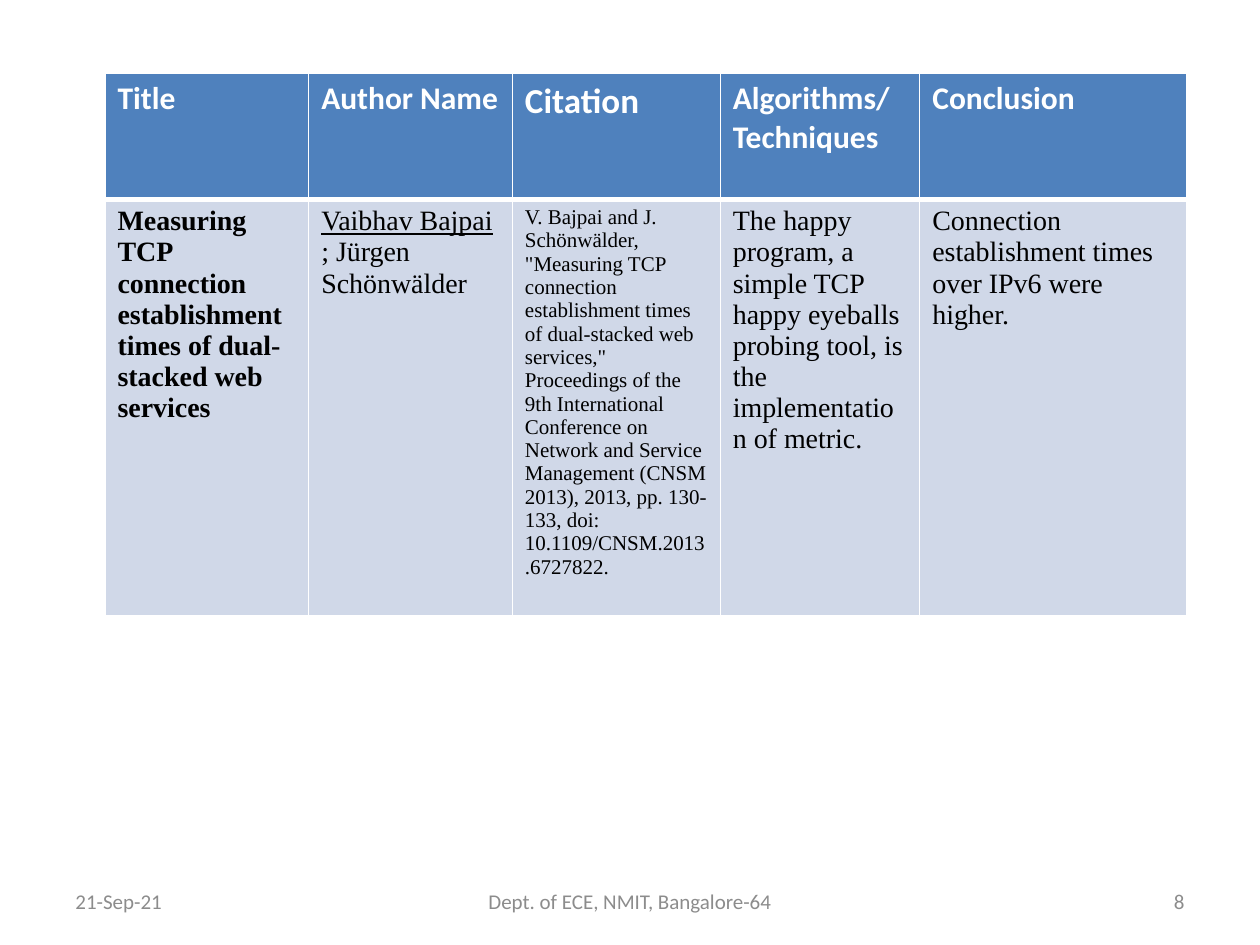
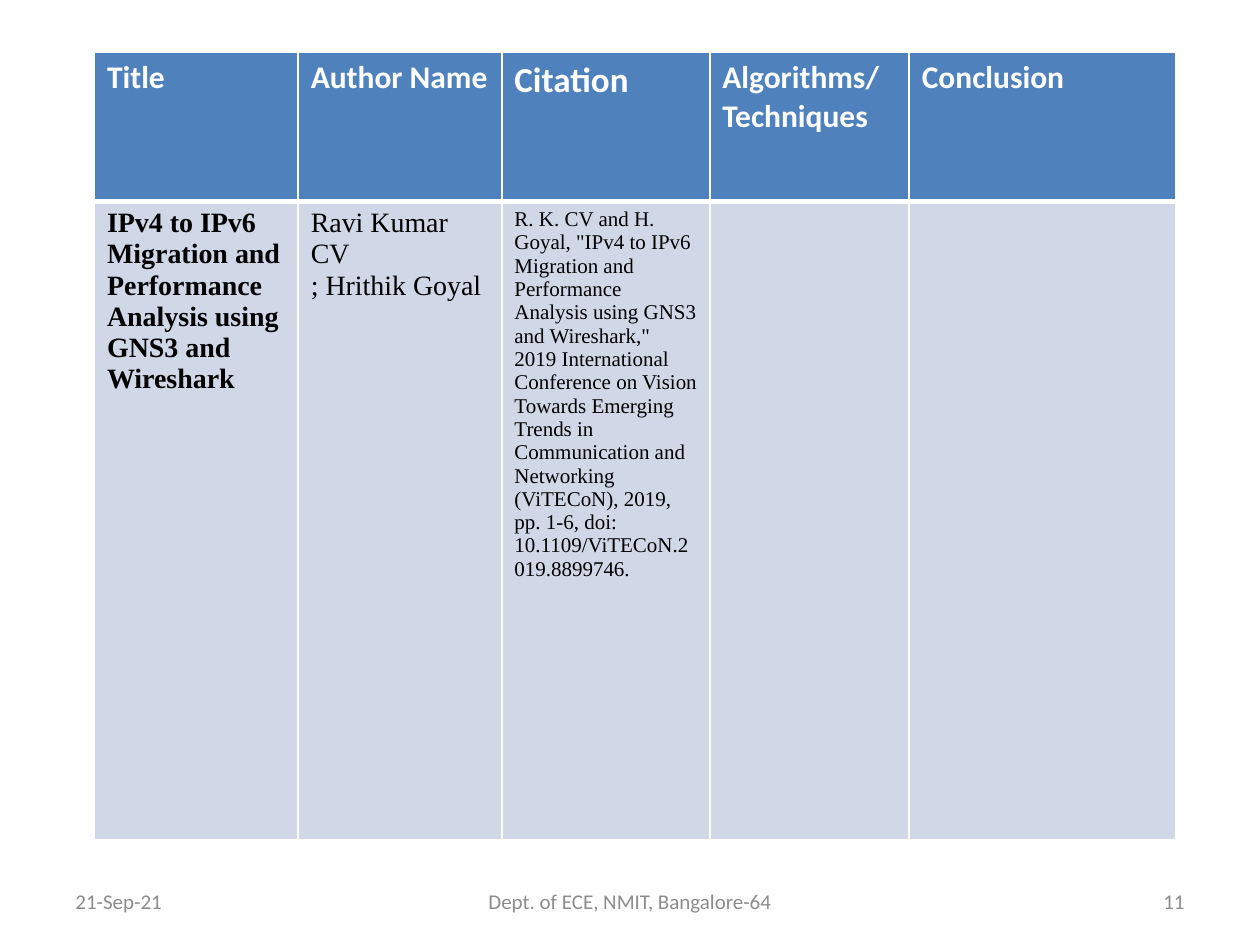
"""Build two literature survey slides, each with one table and a footer."""
from dataclasses import dataclass

import lxml.etree
import pptx
import pptx.dml.color
import pptx.enum.text
import pptx.oxml.ns
import pptx.util

ALIGN = pptx.enum.text.PP_ALIGN


@dataclass(frozen=True)
class Theme:
    head_fill: str = "4F81BD"
    body_fill: str = "D0D8E8"
    white: str = "FFFFFF"
    black: str = "000000"
    grey: str = "8C8C8C"
    sans: str = "Calibri"
    serif: str = "Times New Roman"
    footer_size: int = 12
    head_size: int = 18
    head_large: int = 20
    body_size: int = 16
    cite_size: int = 12
    thin: int = 1
    thick: int = 3


@dataclass(frozen=True)
class Column:
    heading: str
    width: float
    head_size: int
    body_size: int
    bold: bool = False


@dataclass(frozen=True)
class FooterPart:
    text: str
    left: float
    width: float
    align: ALIGN


@dataclass(frozen=True)
class Survey:
    number: int
    left: float
    top: float
    rows: tuple[float, float]
    title: str
    authors: tuple[str, str]
    citation: str
    technique: str = ""
    conclusion: str = ""
    underline_first: bool = False


THEME = Theme()
WIDTH, HEIGHT = pptx.util.Inches(10), pptx.util.Inches(7.5)
GRID_COLS, GRID_ROWS = 120, 90
FOOTER_TOP, FOOTER_HEIGHT = 83.4, 4.8

COLUMNS = (
    Column("Title", 19.4, THEME.head_size, THEME.body_size, bold=True),
    Column("Author Name", 19.4, THEME.head_size, THEME.body_size),
    Column("Citation", 19.8, THEME.head_large, THEME.cite_size),
    Column("Algorithms/Techniques", 19, THEME.head_size, THEME.body_size),
    Column("Conclusion", 25.4, THEME.head_size, THEME.body_size),
)

SURVEYS = (
    Survey(
        number=8, left=10, top=7, rows=(12, 36.7),
        title="Measuring TCP connection establishment times of dual-stacked web services",
        authors=("Vaibhav Bajpai", "; Jürgen Schönwälder"),
        citation='V. Bajpai and J. Schönwälder, "Measuring TCP connection establishment '
                 'times of dual-stacked web services," Proceedings of the 9th International '
                 'Conference on Network and Service Management (CNSM 2013), 2013, '
                 'pp. 130-133, doi: 10.1109/CNSM.2013.6727822.',
        technique="The happy program, a simple TCP happy eyeballs probing tool, "
                  "is the implementation of metric.",
        conclusion="Connection establishment times over IPv6 were higher.",
        underline_first=True,
    ),
    Survey(
        number=11, left=9, top=5, rows=(14.2, 60.8),
        title="IPv4 to IPv6 Migration and Performance Analysis using GNS3 and Wireshark",
        authors=("Ravi Kumar CV", "; Hrithik Goyal"),
        citation='R. K. CV and H. Goyal, "IPv4 to IPv6 Migration and Performance Analysis '
                 'using GNS3 and Wireshark," 2019 International Conference on Vision Towards '
                 'Emerging Trends in Communication and Networking (ViTECoN), 2019, pp. 1-6, '
                 'doi: 10.1109/ViTECoN.2019.8899746.',
    ),
)


def x(cols: float) -> int:
    """Turn grid columns into a length."""
    return round(WIDTH * cols / GRID_COLS)


def y(rows: float) -> int:
    """Turn grid rows into a length."""
    return round(HEIGHT * rows / GRID_ROWS)


def rgb(color: str) -> pptx.dml.color.RGBColor:
    """Turn a hex string into a colour."""
    return pptx.dml.color.RGBColor.from_string(color)


def add_run(p, text: str, color: str, size: int, **formats) -> None:
    """Add a formatted run to a paragraph."""
    r = p.add_run()
    r.text = text
    for name, value in {"size": pptx.util.Pt(size), **formats}.items():
        setattr(r.font, name, value)
    r.font.color.rgb = rgb(color)


def add_footer(s, number: int) -> None:
    """Add the date, department and slide number."""
    parts = (
        FooterPart("21-Sep-21", 6, 28, ALIGN.LEFT),
        FooterPart("Dept. of ECE, NMIT, Bangalore-64", 41, 38, ALIGN.CENTER),
        FooterPart(str(number), 86, 28, ALIGN.RIGHT),
    )
    for part in parts:
        sp = s.shapes.add_textbox(x(part.left), y(FOOTER_TOP), x(part.width), y(FOOTER_HEIGHT))
        tf = sp.text_frame
        tf.word_wrap = True
        tf.vertical_anchor = pptx.enum.text.MSO_ANCHOR.MIDDLE
        p = tf.paragraphs[0]
        p.alignment = part.align
        add_run(p, part.text, THEME.grey, THEME.footer_size, name=THEME.sans)


def style_cell(cell, fill: str, top: int, bottom: int) -> None:
    """Give a cell white borders and a solid fill."""
    qn = pptx.oxml.ns.qn
    props = cell._tc.get_or_add_tcPr()
    borders = {"lnL": THEME.thin, "lnR": THEME.thin, "lnT": top, "lnB": bottom}
    for tag, width in borders.items():
        line = lxml.etree.SubElement(props, qn(f"a:{tag}"), w=str(pptx.util.Pt(width)))
        solid = lxml.etree.SubElement(line, qn("a:solidFill"))
        lxml.etree.SubElement(solid, qn("a:srgbClr"), val=THEME.white)
    cell.fill.solid()
    cell.fill.fore_color.rgb = rgb(fill)


def add_survey_table(s, survey: Survey) -> None:
    """Add the heading row and the paper's row."""
    width = sum(column.width for column in COLUMNS)
    frame = s.shapes.add_table(2, len(COLUMNS), x(survey.left), y(survey.top),
                               x(width), y(sum(survey.rows)))
    table = frame.table
    table.horz_banding = False
    for row, height in zip(table.rows, survey.rows):
        row.height = y(height)
    entries = ((survey.title,), survey.authors, (survey.citation,),
               (survey.technique,), (survey.conclusion,))
    for i, (column, lines) in enumerate(zip(COLUMNS, entries)):
        table.columns[i].width = x(column.width)
        head, body = table.cell(0, i), table.cell(1, i)
        style_cell(head, THEME.head_fill, THEME.thin, THEME.thick)
        style_cell(body, THEME.body_fill, THEME.thick, THEME.thin)
        add_run(head.text_frame.paragraphs[0], column.heading, THEME.white,
                column.head_size, name=THEME.sans, bold=True)
        tf = body.text_frame
        for n, line in enumerate(filter(None, lines)):
            p = tf.add_paragraph() if n else tf.paragraphs[0]
            underline = survey.underline_first and lines is survey.authors and n == 0
            add_run(p, line, THEME.black, column.body_size, name=THEME.serif,
                    bold=column.bold, underline=underline)


def main() -> None:
    """Build and save the slides."""
    prs = pptx.Presentation()
    prs.slide_width, prs.slide_height = WIDTH, HEIGHT
    blank = prs.slide_layouts.get_by_name("Blank")
    for survey in SURVEYS:
        s = prs.slides.add_slide(blank)
        add_footer(s, survey.number)
        add_survey_table(s, survey)
    prs.save("out.pptx")


if __name__ == "__main__":
    main()
